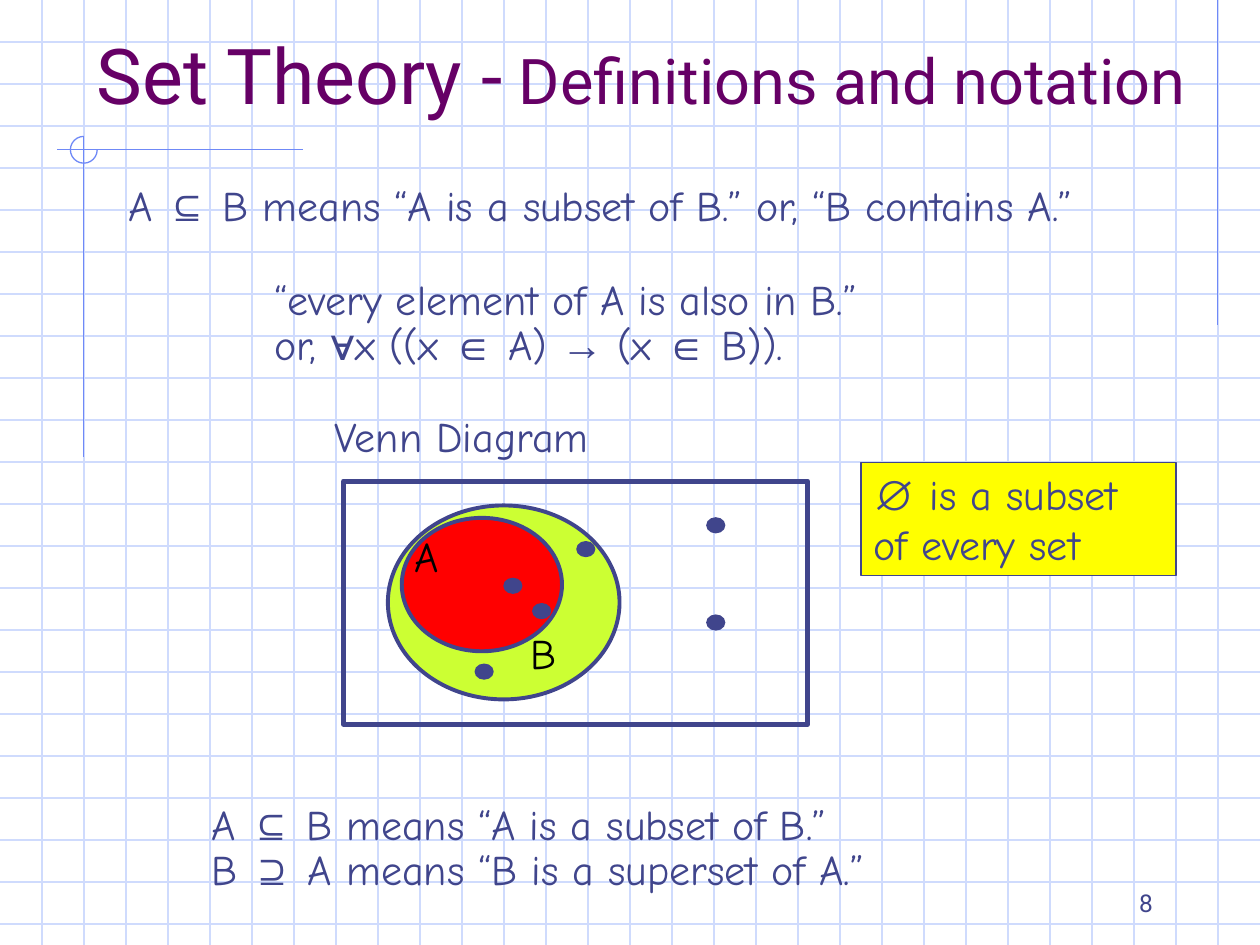
from itertools import groupby

from lxml import etree
from pptx import Presentation
from pptx.dml.color import RGBColor
from pptx.enum import shapes, text
from pptx.oxml import ns
from pptx.util import Cm, Pt

INK = RGBColor(0x40, 0x45, 0x8C)
PURPLE = RGBColor(0x66, 0x00, 0x66)
GRID = RGBColor(0xCF, 0xDB, 0xFD)
ACCENT = RGBColor(0x6F, 0x89, 0xF7)
LIME = RGBColor(0xCC, 0xFF, 0x33)
RED = RGBColor(0xFF, 0x00, 0x00)
YELLOW = RGBColor(0xFF, 0xFF, 0x00)
BLACK = RGBColor(0x00, 0x00, 0x00)

WIDTH, HEIGHT = 25.4, 19.05
GRID_STEP = WIDTH / 30
SYMBOLS = "⊆⊇∀∈→∅"
DOT_CENTERS = [(10.34, 11.81), (10.92, 12.32), (9.76, 13.54),
               (11.81, 11.07), (14.43, 12.55), (14.43, 10.59)]


class SlideBuilder:
    heading_font = "Roboto"
    body_font = "Comic Neue"
    symbol_font = "Arial"
    body_size = 24

    def __init__(self, slide):
        self.slide = slide

    def place(self, shape, left, top, width, height):
        shape.left, shape.top = Cm(left), Cm(top)
        shape.width, shape.height = Cm(width), Cm(height)

    def bring_to_front(self, shape):
        shape.element.getparent().append(shape.element)

    def line(self, x1, y1, x2, y2, color):
        connector = self.slide.shapes.add_connector(
            shapes.MSO_CONNECTOR.STRAIGHT, Cm(x1), Cm(y1), Cm(x2), Cm(y2))
        connector.line.color.rgb = color
        connector.line.width = Pt(0.75)
        etree.SubElement(connector.element.spPr, ns.qn("a:effectLst"))

    def shape(self, kind, left, top, width, height, fill=None, line=INK, weight=0.75):
        shape = self.slide.shapes.add_shape(
            kind, Cm(left), Cm(top), Cm(width), Cm(height))
        shape.shadow.inherit = False
        if fill is None:
            shape.fill.background()
        else:
            shape.fill.solid()
            shape.fill.fore_color.rgb = fill
        shape.line.color.rgb = line
        shape.line.width = Pt(weight)
        return shape

    def oval(self, *box, **style):
        return self.shape(shapes.MSO_SHAPE.OVAL, *box, **style)

    def set_lines(self, frame, lines, color=INK, size=None, font=None, spacing=0.9,
                  align=text.PP_ALIGN.LEFT, anchor=text.MSO_ANCHOR.TOP):
        frame.word_wrap = True
        frame.auto_size = text.MSO_AUTO_SIZE.NONE
        frame.vertical_anchor = anchor
        for index, content in enumerate(lines):
            paragraph = frame.add_paragraph() if index else frame.paragraphs[0]
            paragraph.alignment = align
            paragraph.line_spacing = spacing
            paragraph.space_before = Pt(0)
            paragraph.font.size = Pt(size or self.body_size)
            paragraph.font.color.rgb = color
            pieces = [(symbolic, "".join(letters)) for symbolic, letters
                      in groupby(content, lambda letter: letter in SYMBOLS)]
            if len(pieces) == 1:
                paragraph.font.name = font or self.body_font
            for symbolic, piece in pieces:
                run = paragraph.add_run()
                run.text = piece
                if len(pieces) > 1:
                    run.font.name = self.symbol_font if symbolic else self.body_font

    def textbox(self, left, top, width, height, lines, **style):
        box = self.slide.shapes.add_textbox(Cm(left), Cm(top), Cm(width), Cm(height))
        self.set_lines(box.text_frame, lines, **style)

    def title(self, box, parts):
        title = self.slide.shapes.title
        self.place(title, *box)
        self.bring_to_front(title)
        frame = title.text_frame
        frame.word_wrap = True
        frame.auto_size = text.MSO_AUTO_SIZE.NONE
        frame.vertical_anchor = text.MSO_ANCHOR.BOTTOM
        paragraph = frame.paragraphs[0]
        paragraph.alignment = text.PP_ALIGN.LEFT
        paragraph.font.name = self.heading_font
        paragraph.font.color.rgb = PURPLE
        for content, size in parts:
            run = paragraph.add_run()
            run.text = content
            run.font.size = Pt(size)

    def body(self, box, lines):
        body = self.slide.placeholders[1]
        self.place(body, *box)
        self.bring_to_front(body)
        for paragraph in body.text_frame.paragraphs:
            properties = paragraph._p.get_or_add_pPr()
            properties.set("marL", "0")
            properties.set("indent", "0")
            etree.SubElement(properties, ns.qn("a:buNone"))
        self.set_lines(body.text_frame, lines)

    def grid(self):
        for row in range(1, 23):
            self.line(0, row * GRID_STEP, WIDTH, row * GRID_STEP, GRID)
        for column in range(1, 30):
            self.line(column * GRID_STEP, 0, column * GRID_STEP, HEIGHT, GRID)

    def ornament(self):
        self.line(24.55, 0, 24.55, 6.56, ACCENT)
        self.line(6.1, 3.02, 1.14, 3.02, ACCENT)
        self.line(1.69, 2.77, 1.69, 9.22, ACCENT)
        arc = self.shape(shapes.MSO_SHAPE.ARC, 1.42, 2.75, 0.54, 0.54, line=ACCENT)
        arc.adjustments[0] = 0
        arc.adjustments[1] = 162

    def venn_diagram(self):
        self.textbox(6.35, 8.26, 5.92, 1.17, ["Venn Diagram"],
                     align=text.PP_ALIGN.CENTER)
        self.shape(shapes.MSO_SHAPE.RECTANGLE, 6.93, 9.7, 9.35, 4.9, weight=3)
        self.oval(7.82, 10.19, 4.67, 3.91, fill=LIME, weight=2.25)
        self.oval(8.1, 10.44, 3.23, 2.69, fill=RED, weight=2.25)
        self.textbox(8.1, 10.69, 1.47, 1.47, ["A"], color=BLACK)
        for x, y in DOT_CENTERS:
            self.oval(x - 0.18, y - 0.15, 0.36, 0.3, fill=INK)
        self.textbox(10.44, 12.65, 1.75, 1.7, ["B"], color=BLACK)


def main():
    presentation = Presentation()
    presentation.slide_width = Cm(WIDTH)
    presentation.slide_height = Cm(HEIGHT)
    slide = presentation.slides.add_slide(presentation.slide_layouts[1])
    builder = SlideBuilder(slide)

    builder.grid()
    builder.ornament()
    builder.textbox(18.21, 17.98, 5.28, 0.64, ["8"], size=14,
                    font=builder.heading_font, spacing=1,
                    align=text.PP_ALIGN.RIGHT, anchor=text.MSO_ANCHOR.BOTTOM)
    builder.title((1.7, 0.85, 23.7, 1.7),
                  [("Set Theory -", 44), (" Definitions and notation", 36)])
    builder.body((2.33, 3.6, 21.6, 13.76),
                 ["A ⊆ B means “A is a subset of B.” or, “B contains A.”"])
    builder.textbox(5.29, 5.5, 16.72, 3.18,
                    ["“every element of A is also in B.”",
                     "or, ∀x ((x ∈ A) → (x ∈ B))."])
    builder.venn_diagram()
    builder.textbox(4.02, 16.08, 19.05, 2.08,
                    ["A ⊆ B means “A is a subset of B.”",
                     "B ⊇ A means “B is a superset of A.”"])
    callout = builder.shape(shapes.MSO_SHAPE.RECTANGLE, 17.36, 9.32, 6.35, 2.28,
                            fill=YELLOW)
    builder.set_lines(callout.text_frame, ["∅ is a subset of every set"], spacing=1)

    presentation.save("out.pptx")


if __name__ == "__main__":
    main()
